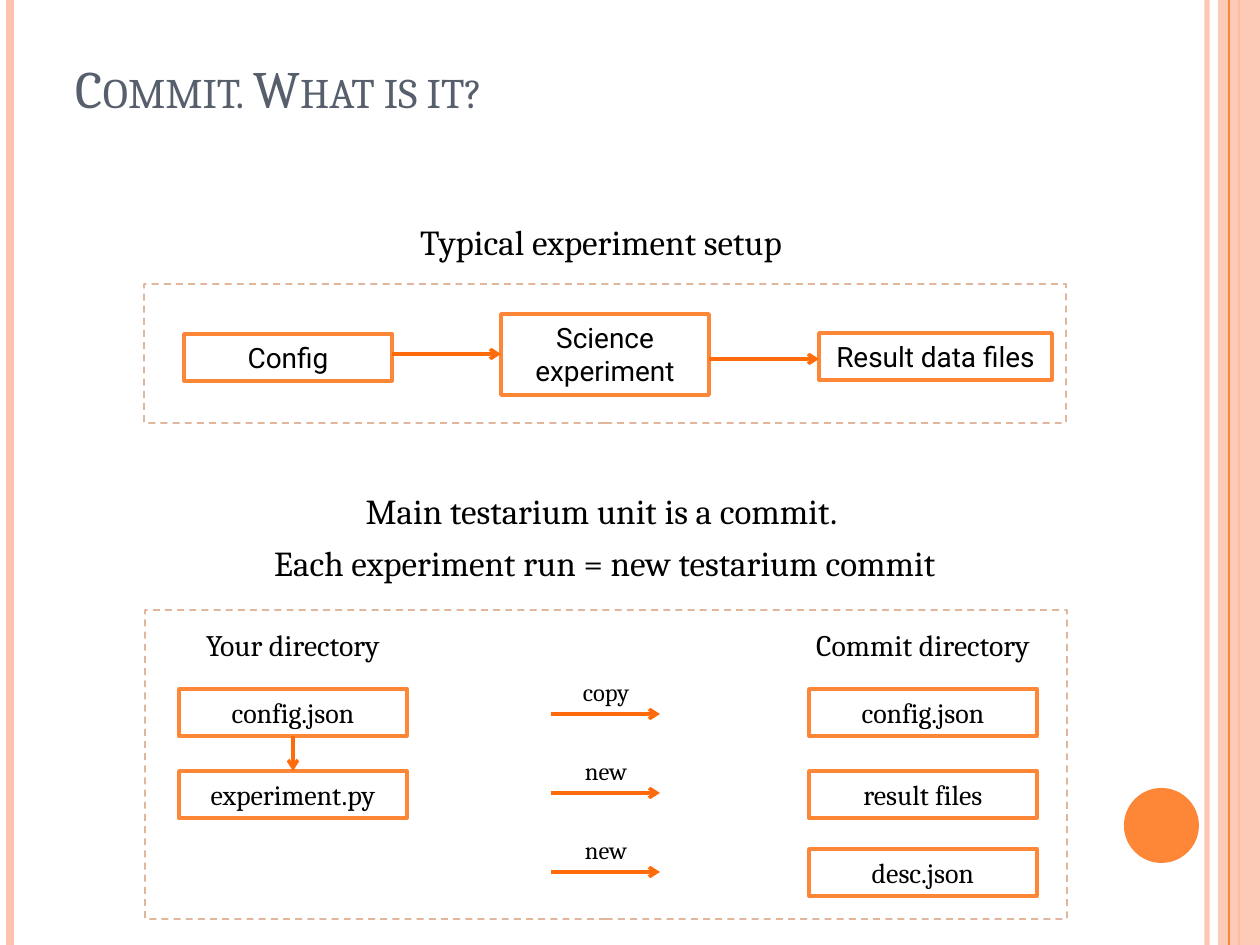
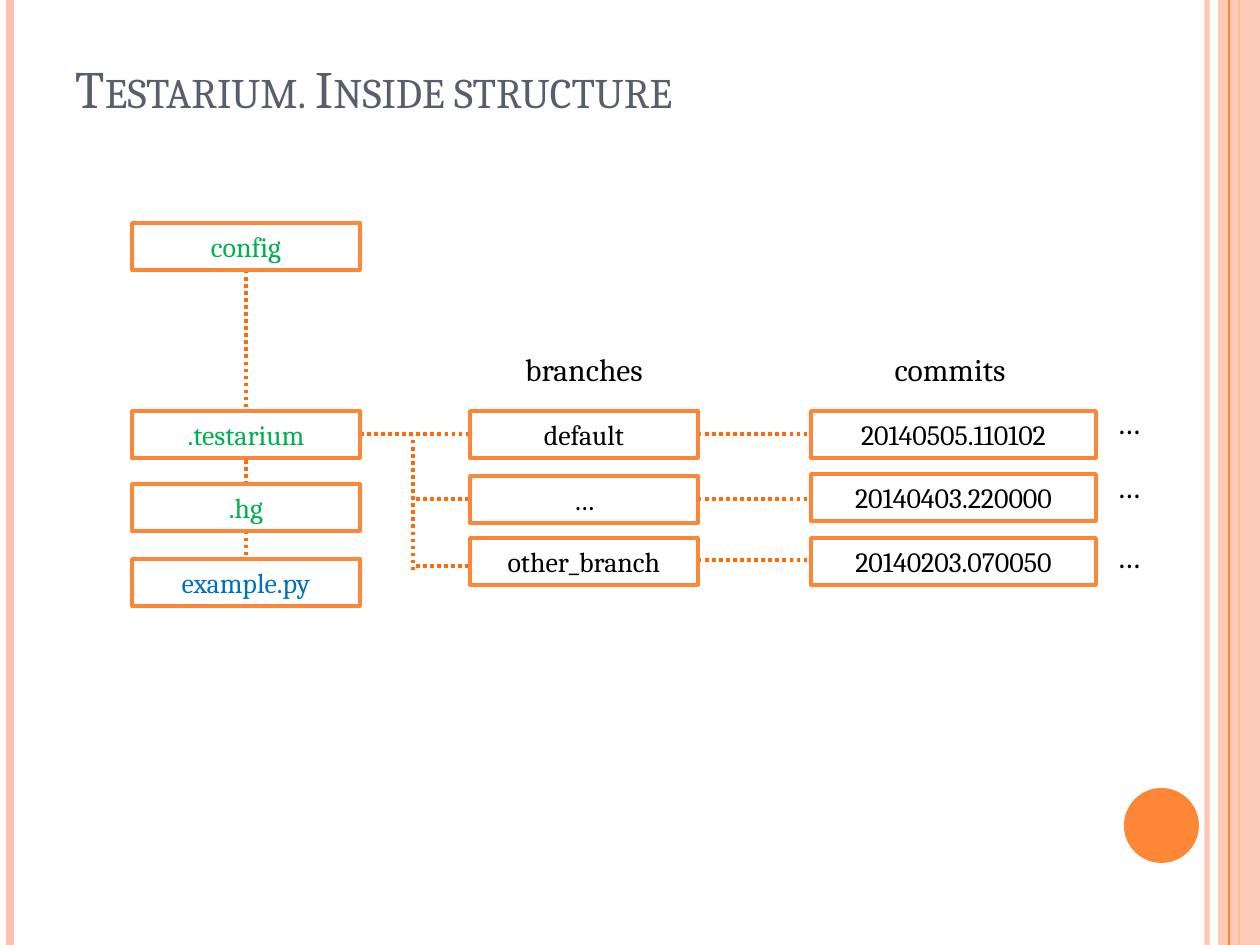
from dataclasses import dataclass

from pptx import Presentation
from pptx.dml.color import RGBColor
from pptx.enum.dml import MSO_LINE_DASH_STYLE as DASH
from pptx.enum.shapes import MSO_CONNECTOR, MSO_SHAPE
from pptx.enum.text import MSO_ANCHOR, MSO_AUTO_SIZE, PP_ALIGN
from pptx.oxml.ns import qn
from pptx.util import Inches, Pt

PX_PER_INCH = 126
SLIDE_W, SLIDE_H = 1260, 945
TITLE_ONLY = 5


@dataclass(frozen=True)
class Theme:
    serif: str = "Cambria"
    sans: str = "Roboto"
    title: str = "575F6D"
    text: str = "000000"
    paper: str = "FFFFFF"
    accent: str = "FE8637"
    link: str = "FF6B0A"
    pale: str = "FEC3AE"
    frame: str = "BC6329"
    folder: str = "00B050"
    script: str = "0070C0"
    title_size: int = 30
    lead_size: int = 20
    column_size: int = 18
    heading_size: int = 17
    box_size: int = 16
    label_size: int = 14
    line_width: int = 2


THEME = Theme()
BOX_W, BOX_H = 228, 47


def px(*lengths):
    return [Inches(n / PX_PER_INCH) for n in lengths]


def rgb(color):
    return RGBColor.from_string(color)


def fade(shape, percent):
    """Give the colours set on a shape the stated opacity."""
    for color in shape.element.spPr.iter(qn("a:srgbClr")):
        alpha = color.makeelement(qn("a:alpha"), {"val": str(percent * 1000)})
        color.append(alpha)


def format_text(tf, size, color=THEME.text, font=THEME.serif,
                align=PP_ALIGN.CENTER, before=None):
    tf.word_wrap = True
    tf.auto_size = MSO_AUTO_SIZE.NONE
    for p in tf.paragraphs:
        p.alignment = align
        if before is not None:
            p.space_before = Pt(before)
        for r in p.runs:
            r.font.size = Pt(size)
            r.font.name = font
            r.font.color.rgb = rgb(color)


def add_text(slide, box, text, size):
    tf = slide.shapes.add_textbox(*px(*box)).text_frame
    tf.text = text
    format_text(tf, size, before=6)


def add_filled(slide, kind, box, fill):
    sp = slide.shapes.add_shape(kind, *px(*box))
    sp.shadow.inherit = False
    sp.fill.solid()
    sp.fill.fore_color.rgb = rgb(fill)
    sp.line.fill.background()
    return sp


def add_box(slide, box, text, color=THEME.text, font=THEME.serif):
    sp = add_filled(slide, MSO_SHAPE.RECTANGLE, box, THEME.paper)
    sp.line.color.rgb = rgb(THEME.accent)
    sp.line.width = Pt(THEME.line_width)
    tf = sp.text_frame
    tf.text = text
    tf.vertical_anchor = MSO_ANCHOR.TOP
    format_text(tf, THEME.box_size, color, font)


def add_line(slide, start, end, color=THEME.link, width=THEME.line_width):
    line = slide.shapes.add_connector(MSO_CONNECTOR.STRAIGHT, *px(*start, *end))
    line.line.color.rgb = rgb(color)
    line.line.width = Pt(width)
    spPr = line.element.spPr
    spPr.append(spPr.makeelement(qn("a:effectLst"), {}))
    return line


def add_arrow(slide, start, end):
    ln = add_line(slide, start, end).element.spPr.find(qn("a:ln"))
    ln.append(ln.makeelement(qn("a:tailEnd"), {"type": "arrow"}))


def add_dots(slide, start, end):
    add_line(slide, start, end).line.dash_style = DASH.ROUND_DOT


def add_frame(slide, box):
    sp = add_filled(slide, MSO_SHAPE.RECTANGLE, box, THEME.paper)
    sp.fill.background()
    sp.line.color.rgb = rgb(THEME.frame)
    sp.line.width = Pt(1)
    sp.line.dash_style = DASH.DASH
    fade(sp, 46)


def decorate_layout(slide):
    """Draw the side bands and disc, then move them to the slide's layout."""
    def stripe(x, color, width):
        return add_line(slide, (x, 0), (x, SLIDE_H), color, width)

    inner = stripe(1207, THEME.pale, 3)
    fade(inner, 93)
    left = stripe(10, THEME.pale, 4.5)
    edge = stripe(1239, THEME.accent, 1.5)
    band = add_filled(slide, MSO_SHAPE.RECTANGLE, (1218, 0, 42, SLIDE_H), THEME.pale)
    fade(band, 87)
    thin = stripe(1229, THEME.accent, 0.75)
    disc = add_filled(slide, MSO_SHAPE.OVAL, (1124, 788, 75, 75), THEME.accent)
    for sp in (inner, left, edge, band, thin, disc):
        slide.slide_layout.shapes.element.append(sp.element)


def add_titled_slide(prs, text):
    slide = prs.slides.add_slide(prs.slide_layouts[TITLE_ONLY])
    title = slide.shapes.title
    title.left, title.top, title.width, title.height = px(63, 38, 1029, 87)
    tf = title.text_frame
    tf.text = text
    tf.vertical_anchor = MSO_ANCHOR.BOTTOM
    format_text(tf, THEME.title_size, THEME.title, align=PP_ALIGN.LEFT)
    tf.paragraphs[0].runs[0].font._element.set("cap", "small")
    return slide


def experiment_setup(slide, box):
    x, y, w, h = box
    add_frame(slide, box)
    steps = [("Config", 40, 50, 208, BOX_H),
             ("Science experiment", 357, 30, 208, 81),
             ("Result data files", 675, 49, 233, BOX_H)]
    for text, dx, dy, bw, bh in steps:
        add_box(slide, (x + dx, y + dy, bw, bh), text, font=THEME.sans)
    for (_, dx, _, bw, _), (_, next_dx, *_), dy in zip(steps, steps[1:], (70, 75)):
        add_arrow(slide, (x + dx + bw, y + dy), (x + next_dx, y + dy))


def commit_contents(slide, box):
    x, y, w, h = box
    left, middle, right = x + 34, x + 406, x + 664
    rows = [y + dy for dy in (79, 161, 239)]
    add_frame(slide, box)
    add_text(slide, (left, y + 11, BOX_W, 48), "Your directory", THEME.heading_size)
    add_text(slide, (right - 15, y + 11, 258, 48), "Commit directory",
             THEME.heading_size)
    for top, text in zip(rows, ("config.json", "experiment.py")):
        add_box(slide, (left, top, BOX_W, BOX_H), text)
    for top, text in zip(rows, ("config.json", "result files", "desc.json")):
        add_box(slide, (right, top, BOX_W, BOX_H), text)
    center = left + BOX_W // 2
    add_arrow(slide, (center, rows[0] + BOX_H), (center, rows[1]))
    for i, action in enumerate(("copy", "new", "new")):
        arrow_y = y + 104 + 79 * i
        add_text(slide, (middle, arrow_y - 43, 110, 32), action, THEME.label_size)
        add_arrow(slide, (middle, arrow_y), (middle + 109, arrow_y))


def repository_tree(slide, box):
    """Draw the root entries, their branches and the commits of each branch."""
    x, y, w, h = box
    branch_x, commit_x, commit_w = x + 338, x + 679, 285
    roots = [("config", 0, THEME.folder), (".testarium", 188, THEME.folder),
             (".hg", 261, THEME.folder), ("example.py", 336, THEME.script)]
    branches = [("default", 188), ("…", 253), ("other_branch", 315)]
    commits = [("20140505.110102", 188), ("20140403.220000", 251),
               ("20140203.070050", 315)]
    link_rows = [y + dy for dy in (211, 276, 337)]

    trunk = x + BOX_W // 2
    add_dots(slide, (trunk, y + BOX_H), (trunk, y + h))
    fork, fork_end = x + 281, y + 343
    add_dots(slide, (x + BOX_W, link_rows[0]), (branch_x, link_rows[0]))
    add_dots(slide, (fork, y + 217), (fork, fork_end + 4))
    for row in (link_rows[1], fork_end):
        add_dots(slide, (fork + 3, row), (branch_x, row))
    for row in link_rows:
        add_dots(slide, (branch_x + BOX_W, row), (commit_x - 3, row))

    for text, dy, color in roots:
        add_box(slide, (x, y + dy, BOX_W, BOX_H), text, color)
    for text, dy in branches:
        add_box(slide, (branch_x, y + dy, BOX_W, BOX_H), text)
    for text, dy in commits:
        add_box(slide, (commit_x, y + dy, commit_w, BOX_H), text)
    for dx, text in ((339, "branches"), (705, "commits")):
        add_text(slide, (x + dx, y + 121, 226, 52), text, THEME.column_size)
    for dy in (174, 238, 308):
        add_text(slide, (commit_x + commit_w + 3, y + dy, 59, 52), "…",
                 THEME.column_size)


def main():
    prs = Presentation()
    prs.slide_width, prs.slide_height = px(SLIDE_W, SLIDE_H)

    slide = add_titled_slide(prs, "Commit. What is it?")
    decorate_layout(slide)
    add_text(slide, (59, 214, 1092, 89), "Typical experiment setup ", THEME.lead_size)
    experiment_setup(slide, (144, 284, 922, 139))
    add_text(slide, (59, 483, 1092, 139),
             "Main testarium unit is a commit. \n"
             "Each experiment run = new testarium commit", THEME.lead_size)
    commit_contents(slide, (145, 610, 922, 309))

    slide = add_titled_slide(prs, "Testarium. Inside structure")
    repository_tree(slide, (132, 223, 1026, 383))

    prs.save("out.pptx")


if __name__ == "__main__":
    main()
